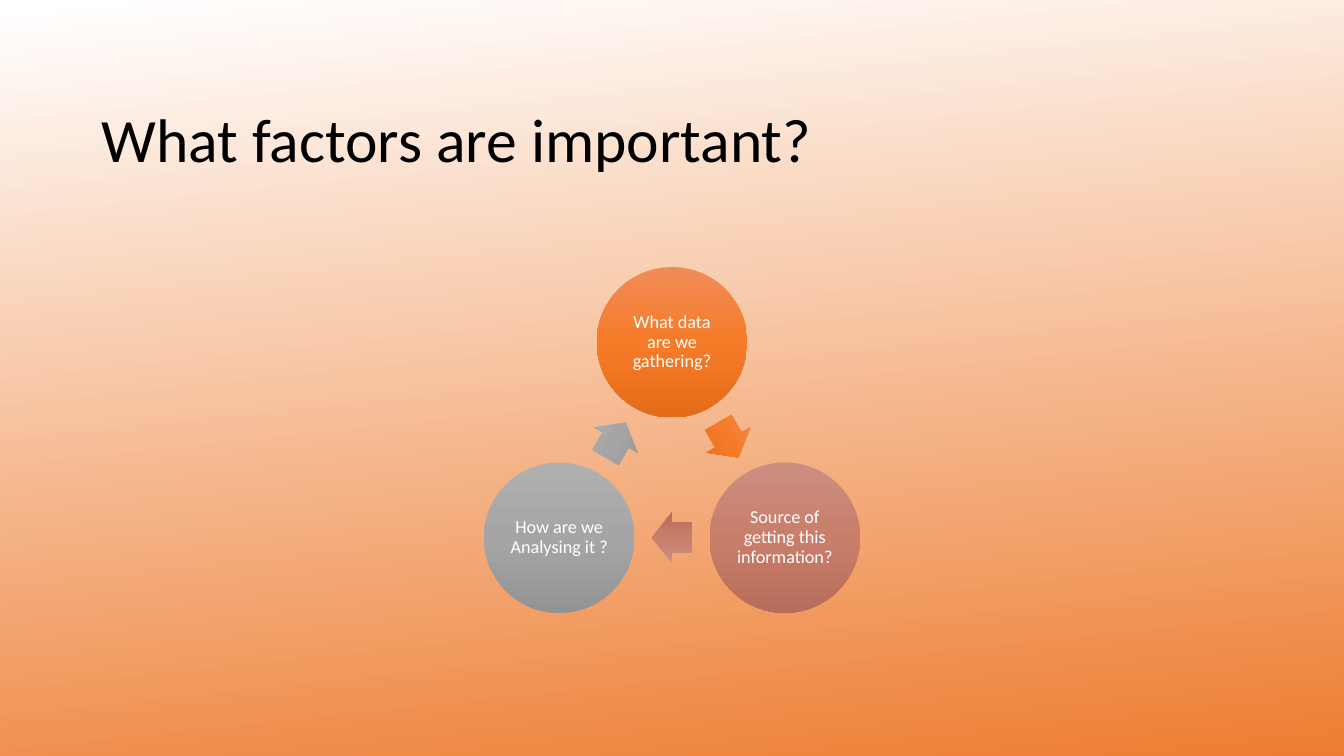
import math

from lxml import etree
from pptx import Presentation
from pptx.dml.color import RGBColor
from pptx.enum.shapes import MSO_SHAPE
from pptx.enum.text import MSO_ANCHOR, PP_ALIGN
from pptx.oxml.ns import qn
from pptx.util import Inches, Pt

WIDTH, HEIGHT = 13.33, 7.5
OVAL, ARROW = MSO_SHAPE.OVAL, MSO_SHAPE.RIGHT_ARROW
MIDDLE = MSO_ANCHOR.MIDDLE
LEFT, CENTER = PP_ALIGN.LEFT, PP_ALIGN.CENTER
FONT = "Calibri"
FACTORS = [
    ("What data are we gathering?", ("F18C57", "F67B28", "E56C19")),
    ("Source of getting this information?", ("CB8F81", "C97E6B", "B76D5B")),
    ("How are we Analysing it ?", ("AFAFAF", "A5A5A5", "939393")),
]


def color(value):
    """Turn a hex string into a colour."""
    return RGBColor.from_string(value)


def fill_gradient(fill, element, stops, angle):
    """Fill with a linear gradient of (percent, hex) stops, clockwise angle."""
    fill.gradient()
    gradient = element.find(".//" + qn("a:gradFill"))
    stop_list = gradient.find(qn("a:gsLst"))
    for stop in list(stop_list):
        stop_list.remove(stop)
    for percent, value in stops:
        stop = etree.SubElement(stop_list, qn("a:gs"), pos=str(percent * 1000))
        etree.SubElement(stop, qn("a:srgbClr"), val=str(color(value)))
    fill.gradient_angle = 360 - angle


def write_text(shape, text, size, value, alignment):
    """Write one vertically centred paragraph into a shape."""
    frame = shape.text_frame
    frame.word_wrap = True
    frame.vertical_anchor = MIDDLE
    frame.text = text
    para = frame.paragraphs[0]
    para.alignment = alignment
    para.line_spacing = 0.9
    font = para.runs[0].font
    font.name, font.size = FONT, Pt(size)
    font.color.rgb = color(value)


def add_title(page, left, top, width, height):
    """Place the heading in its box."""
    box = page.shapes.add_textbox(*map(Inches, (left, top, width, height)))
    write_text(box, "What factors are important?", 44, "000000", LEFT)


def add_part(group, kind, center, width, height, tones):
    """Add a shaded, borderless shape around a centre point."""
    left, top = center[0] - width / 2, center[1] - height / 2
    shape = group.shapes.add_shape(kind, *map(Inches, (left, top, width, height)))
    shape.shadow.inherit = False
    shape.line.fill.background()
    fill_gradient(shape.fill, shape._element, zip((0, 50, 100), tones), 90)
    return shape


def add_cycle(page, left, top, width, height):
    """Place the factors on a ring in the box, an arrow after each."""
    diameter = height * 0.435
    step = 360 / len(FACTORS)
    radius = (width - diameter) / 2 / math.sin(math.radians(step))
    middle = left + width / 2, top + diameter / 2 + radius

    def ring_point(angle, distance):
        """Find a point clockwise from the top of the ring."""
        turn = math.radians(angle)
        return (middle[0] + distance * math.sin(turn),
                middle[1] - distance * math.cos(turn))

    group = page.shapes.add_group_shape()
    for index, (text, tones) in enumerate(FACTORS):
        angle = index * step
        circle = add_part(group, OVAL, ring_point(angle, radius),
                          diameter, diameter, tones)
        write_text(circle, text, 13, "FFFFFF", CENTER)
        frame = circle.text_frame
        frame.margin_left = frame.margin_right = Inches(0.02)
        frame.margin_top = frame.margin_bottom = Inches(0.02)
        halfway = angle + step / 2
        chord = radius * math.cos(math.radians(step / 2))
        arrow = add_part(group, ARROW, ring_point(halfway, chord),
                         0.4, 0.5, tones)
        arrow.adjustments[0], arrow.adjustments[1] = 0.6, 0.5
        arrow.rotation = halfway


def main():
    """Build the slide and save it."""
    deck = Presentation()
    deck.slide_width, deck.slide_height = Inches(WIDTH), Inches(HEIGHT)
    page = deck.slides.add_slide(deck.slide_layouts[6])
    fill_gradient(page.background.fill, page.element,
                  [(1, "FFFFFF"), (100, "ED7D31")], 84)
    add_title(page, 0.91, 0.69, 11.5, 1.45)
    add_cycle(page, 4.8, 2.65, 3.73, 3.43)
    deck.save("out.pptx")


if __name__ == "__main__":
    main()
